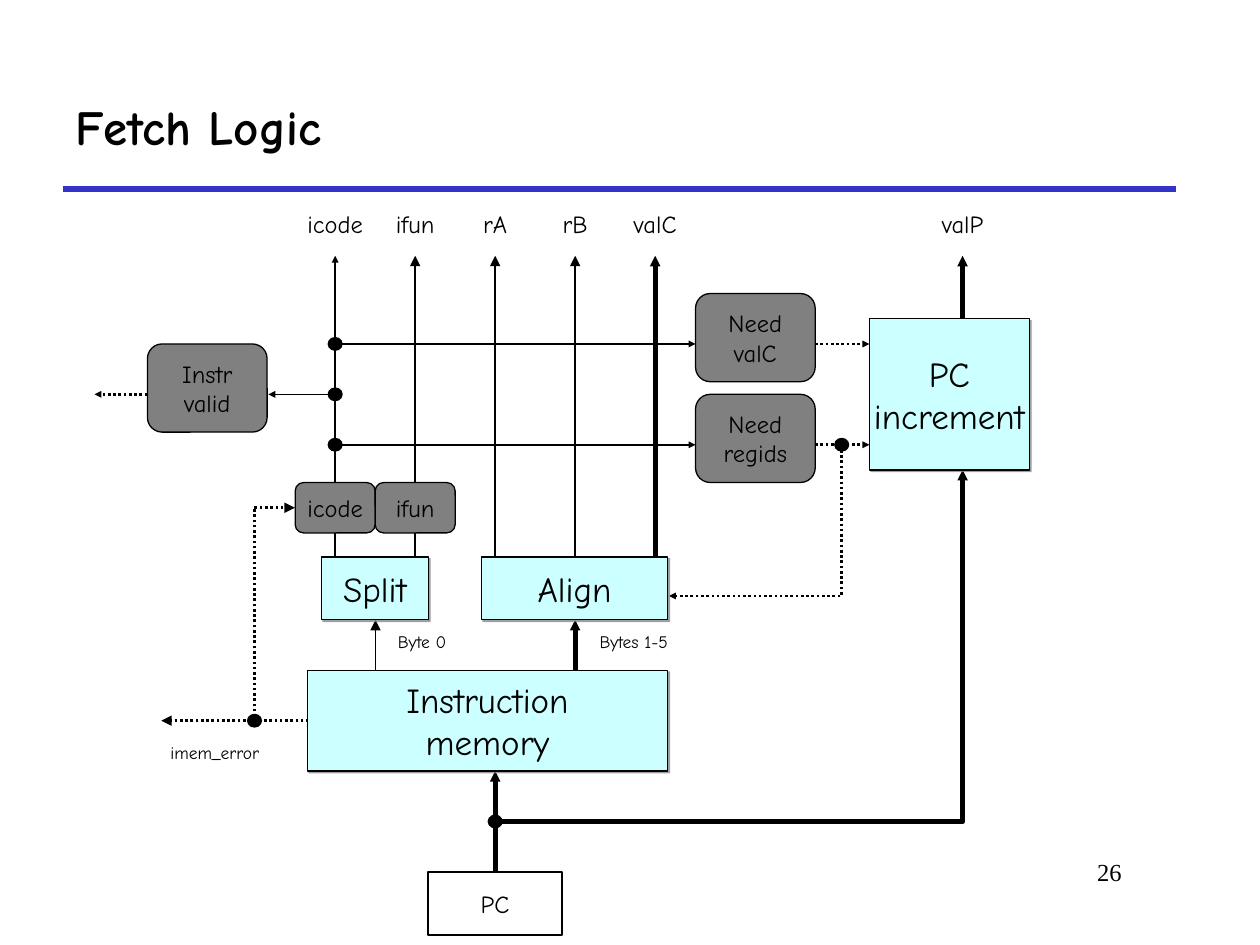
"""Build the Fetch Logic slide: a wiring diagram of the fetch stage."""
import dataclasses
import typing

import lxml.etree
import pptx
import pptx.dml.color
import pptx.enum.dml
import pptx.enum.shapes
import pptx.enum.text
import pptx.oxml.ns
import pptx.util

Inches = pptx.util.Inches
Pt = pptx.util.Pt
RGBColor = pptx.dml.color.RGBColor
Form = pptx.enum.shapes.MSO_SHAPE
Align = pptx.enum.text.PP_ALIGN
Anchor = pptx.enum.text.MSO_ANCHOR
qn = pptx.oxml.ns.qn

BLACK = RGBColor(0, 0, 0)
WHITE = RGBColor(255, 255, 255)
CYAN = RGBColor(0xCC, 0xFF, 0xFF)
GRAY = RGBColor(0x80, 0x80, 0x80)
BLUE = RGBColor(0x33, 0x33, 0xCC)
FONT = "Comic Neue"
STEP = 0.635
COLS = [2.66 + STEP * i for i in range(5)]
ROWS = [2.73, 3.13, 3.53]
TOP = 2.03
BASE = 4.42
RIGHT = 7.64


@dataclasses.dataclass(frozen=True)
class Style:
    form: typing.Any
    fill: RGBColor | None
    edge: float
    size: float
    shade: bool = False


@dataclasses.dataclass(frozen=True)
class Box:
    style: Style
    left: float
    top: float
    width: float
    height: float
    text: str


@dataclasses.dataclass(frozen=True)
class Wire:
    points: list[tuple[float, float]]
    width: float = 1
    dots: bool = False
    head: str = "sm"


@dataclasses.dataclass(frozen=True)
class Note:
    left: float
    top: float
    width: float
    height: float
    text: str
    size: float
    font: str = FONT
    bold: bool = False
    wrap: bool = False
    align: typing.Any = Align.CENTER
    anchor: typing.Any = Anchor.TOP


UNIT = Style(Form.RECTANGLE, CYAN, 0.75, 20, True)
LOGIC = Style(Form.ROUNDED_RECTANGLE, GRAY, 0.75, 14)
STATE = Style(Form.RECTANGLE, WHITE, 1, 14)
LABEL = Style(Form.OVAL, WHITE, 0, 14)
ERROR = Style(Form.OVAL, None, 0, 10)
DOT = Style(Form.OVAL, BLACK, 0.75, 10)

WIRES = [
    Wire([(RIGHT, 2.53), (RIGHT, TOP)], 3),
    Wire([(COLS[2], 6.92), (COLS[2], 6.12)], 3),
    Wire([(COLS[2], 6.52), (RIGHT, 6.52), (RIGHT, 3.73)], 3),
    Wire([(COLS[0], BASE), (COLS[0], TOP)]),
    *[Wire([(x, BASE), (x, TOP)], head="med") for x in COLS[1:4]],
    Wire([(COLS[4], BASE), (COLS[4], TOP)], 3),
    *[Wire([(COLS[0], y), (5.52, y)]) for y in ROWS[::2]],
    *[Wire([(6.47, y), (6.9, y)], 1.5, True) for y in ROWS[::2]],
    Wire([(COLS[0], ROWS[1]), (2.13, ROWS[1])]),
    Wire([(1.17, ROWS[1]), (0.75, ROWS[1])], 1.5, True),
    Wire([(6.68, ROWS[2]), (6.68, 4.73), (5.31, 4.73)], 1.5, True),
    Wire([(COLS[3], 5.32), (COLS[3], 4.92)], 3),
    Wire([(2.98, 5.32), (2.98, 4.92)], head="med"),
    Wire([(2.45, 5.72), (1.28, 5.72)], 1.5, True, "med"),
    Wire([(2.02, 5.73), (2.02, 4.03)], 1.5, True, "none"),
    Wire([(2.02, 4.03), (2.34, 4.03)], 1.5, True, "med"),
]
NAMES = list(zip(COLS + [RIGHT], ["icode", "ifun", "rA", "rB", "valC", "valP"]))
BOXES = [
    *[Box(LABEL, x - STEP / 2, 1.53, STEP, 0.5, name) for x, name in NAMES],
    *[Box(LOGIC, x - STEP / 2, 3.83, STEP, 0.4, name) for x, name in NAMES[:2]],
    Box(UNIT, 2.44, 5.32, 2.86, 0.8, "Instruction\nmemory"),
    Box(UNIT, 6.9, 2.53, 1.27, 1.2, "PC\nincrement"),
    Box(UNIT, 3.82, BASE, 1.48, 0.5, "Align"),
    Box(UNIT, 2.55, BASE, 0.85, 0.5, "Split"),
    Box(STATE, 3.4, 6.92, 1.06, 0.5, "PC"),
    Box(LOGIC, 5.52, 2.33, 0.95, 0.7, "Need\nvalC"),
    Box(LOGIC, 5.52, 3.13, 0.95, 0.7, "Need\nregids"),
    Box(LOGIC, 1.17, 2.73, 0.95, 0.7, "Instr\nvalid"),
    Box(ERROR, 1.07, 5.72, 1.27, 0.5, "imem_error"),
]
DOTS = [(COLS[0], y) for y in ROWS] + [(COLS[2], 6.52), (6.68, ROWS[2]), (2.02, 5.72)]
NOTES = [
    Note(0.5, 0.5, 8.83, 1, "Fetch Logic", 28, bold=True, wrap=True,
         align=Align.LEFT, anchor=Anchor.MIDDLE),
    Note(7.58, 6.75, 1.42, 0.5, "26", 14, "Times New Roman", wrap=True, align=Align.RIGHT),
    Note(4.66, 4.96, 0.74, 0.27, "Bytes 1-5", 10),
    Note(3.06, 4.96, 0.58, 0.27, "Byte 0", 10),
]


def write(frame: typing.Any, note: Note) -> None:
    frame.word_wrap = note.wrap
    frame.vertical_anchor = note.anchor
    for i, line in enumerate(note.text.split("\n")):
        para = frame.add_paragraph() if i else frame.paragraphs[0]
        para.alignment = note.align
        run = para.add_run()
        run.text = line
        run.font.name = note.font
        run.font.size = Pt(note.size)
        run.font.bold = note.bold
        run.font.color.rgb = BLACK


def add_note(slide: typing.Any, note: Note) -> None:
    area = map(Inches, (note.left, note.top, note.width, note.height))
    write(slide.shapes.add_textbox(*area).text_frame, note)


def add_shade(shape: typing.Any) -> None:
    effect = shape.element.spPr.find(qn("a:effectLst"))
    shade = lxml.etree.SubElement(effect, qn("a:outerShdw"), blurRad="0",
                                  dist=str(Pt(1.4)), dir="2700000", algn="ctr")
    color = lxml.etree.SubElement(shade, qn("a:srgbClr"), val=str(GRAY))
    lxml.etree.SubElement(color, qn("a:alpha"), val="75000")


def add_box(slide: typing.Any, box: Box) -> None:
    style = box.style
    area = map(Inches, (box.left, box.top, box.width, box.height))
    shape = slide.shapes.add_shape(style.form, *area)
    shape.shadow.inherit = False
    if style.fill is None:
        shape.fill.background()
    else:
        shape.fill.solid()
        shape.fill.fore_color.rgb = style.fill
    if style.edge:
        shape.line.color.rgb = BLACK
        shape.line.width = Pt(style.edge)
    else:
        shape.line.fill.background()
    if style.shade:
        add_shade(shape)
    if box.text:
        note = Note(box.left, box.top, box.width, box.height, box.text,
                    style.size, anchor=Anchor.MIDDLE)
        write(shape.text_frame, note)


def add_wire(slide: typing.Any, wire: Wire, color: RGBColor = BLACK) -> None:
    points = [(Inches(x), Inches(y)) for x, y in wire.points]
    if len(points) == 2:
        kind = pptx.enum.shapes.MSO_CONNECTOR.STRAIGHT
        shape = slide.shapes.add_connector(kind, *points[0], *points[1])
        lxml.etree.SubElement(shape.element.spPr, qn("a:effectLst"))
    else:
        pen = slide.shapes.build_freeform(*points[0])
        pen.add_line_segments(points[1:], close=False)
        shape = pen.convert_to_shape()
        shape.fill.background()
        shape.shadow.inherit = False
    shape.line.color.rgb = color
    shape.line.width = Pt(wire.width)
    if wire.dots:
        shape.line.dash_style = pptx.enum.dml.MSO_LINE.ROUND_DOT
    if wire.head != "none":
        line = shape.element.spPr.find(qn("a:ln"))
        lxml.etree.SubElement(line, qn("a:tailEnd"), type="triangle", w=wire.head, len=wire.head)


def main() -> None:
    deck = pptx.Presentation()
    deck.slide_width, deck.slide_height = Inches(10), Inches(7.5)
    slide = deck.slides.add_slide(deck.slide_layouts[6])
    add_wire(slide, Wire([(0.5, 1.5), (9.33, 1.5)], 3, head="none"), BLUE)
    for wire in WIRES:
        add_wire(slide, wire)
    for box in BOXES:
        add_box(slide, box)
    for x, y in DOTS:
        add_box(slide, Box(DOT, x - 0.055, y - 0.05, 0.11, 0.1, ""))
    for note in NOTES:
        add_note(slide, note)
    deck.save("out.pptx")


if __name__ == "__main__":
    main()
